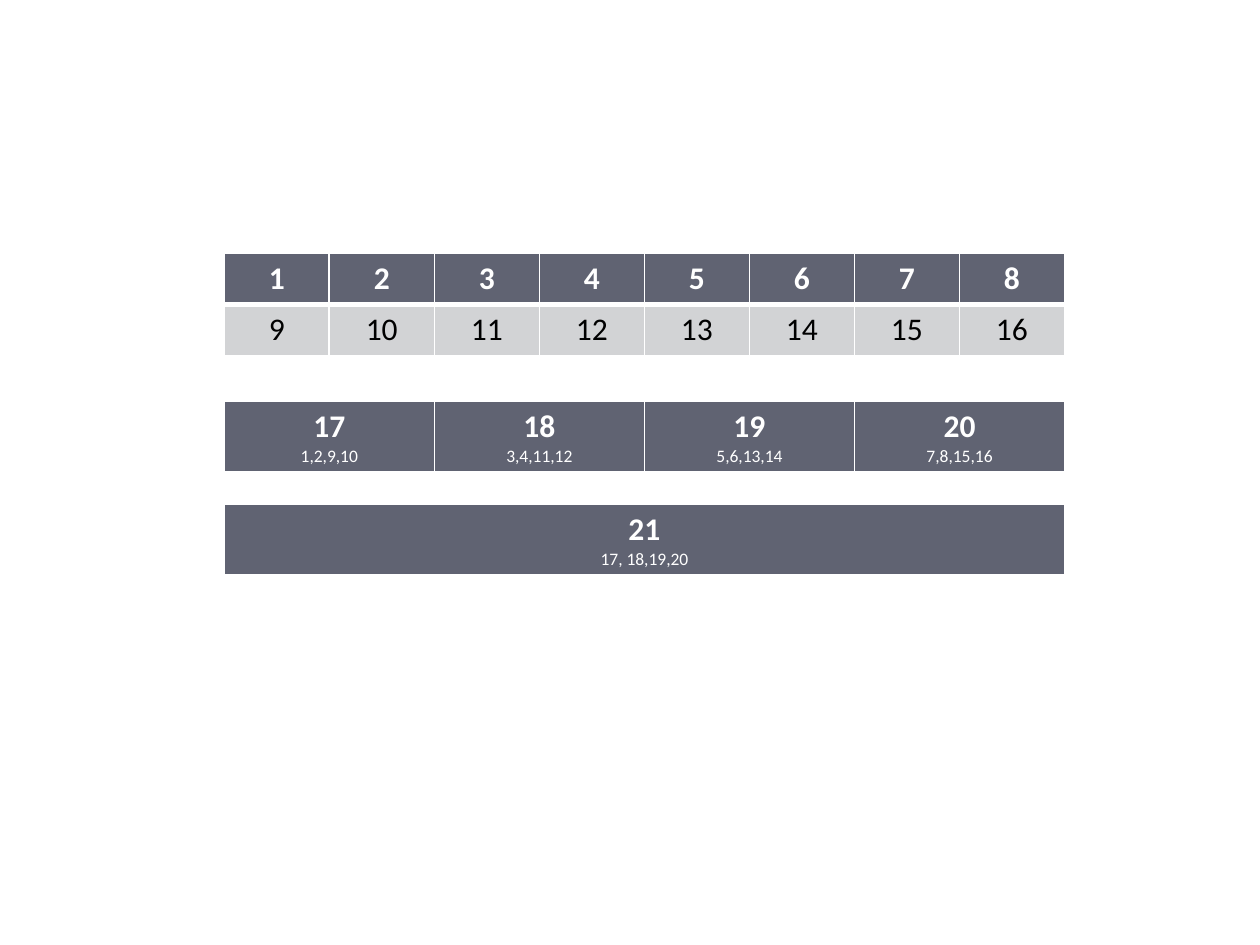
import lxml.etree
import pptx
import pptx.dml.color
import pptx.enum.text
import pptx.oxml.ns
import pptx.util
from pptx.util import Cm

DARK, LIGHT, WHITE, BLACK = "606372", "D2D3D5", "FFFFFF", "000000"
LEFT, WIDTH, ROW_HEIGHT = 4.52, 16.94, 1.03


def color(value):
    return pptx.dml.color.RGBColor.from_string(value)


def add_border(cell, side, points):
    properties = cell._tc.get_or_add_tcPr()
    qn = pptx.oxml.ns.qn
    line = lxml.etree.SubElement(properties, qn(f"a:ln{side}"), w=str(pptx.util.Pt(points)))
    fill = lxml.etree.SubElement(line, qn("a:solidFill"))
    lxml.etree.SubElement(fill, qn("a:srgbClr"), val=WHITE)


def fill_cell(cell, lines, header, top_border):
    # Borders come before the fill in the cell properties
    borders = {"L": 1, "R": 1, "T": top_border, "B": 3 if header else 1}
    for side, points in borders.items():
        add_border(cell, side, points)
    cell.fill.solid()
    cell.fill.fore_color.rgb = color(DARK if header else LIGHT)

    # The number is large, the list of its members small
    cell.text_frame.text = "\n".join(lines)
    for index, paragraph in enumerate(cell.text_frame.paragraphs):
        paragraph.alignment = pptx.enum.text.PP_ALIGN.CENTER
        paragraph.font.name = "Calibri"
        paragraph.font.size = pptx.util.Pt(10 if index else 18)
        paragraph.font.bold = header and index == 0
        paragraph.font.color.rgb = color(WHITE if header else BLACK)


def add_number_table(slide, top, rows):
    """Each cell is a list of lines; the first row is the header."""
    column_count = len(rows[0])
    table = slide.shapes.add_table(
        len(rows), column_count, Cm(LEFT), Cm(top), Cm(WIDTH), Cm(ROW_HEIGHT * len(rows))
    ).table
    for column in table.columns:
        column.width = Cm(WIDTH / column_count)
    for row_index, row in enumerate(rows):
        for column_index, lines in enumerate(row):
            header = row_index == 0
            fill_cell(table.cell(row_index, column_index), lines, header, 1 if header else 3)


def main():
    presentation = pptx.Presentation()
    presentation.slide_width = Cm(25.4)
    presentation.slide_height = Cm(19.05)
    slide = presentation.slides.add_slide(presentation.slide_layouts[6])

    # Base numbers, eight to a row
    add_number_table(slide, 5.11, [
        [[str(number)] for number in range(start, start + 8)] for start in (1, 9)
    ])

    # Groups of four base numbers
    members = ["1,2,9,10", "3,4,11,12", "5,6,13,14", "7,8,15,16"]
    add_number_table(slide, 8.08, [
        [[str(number), text] for number, text in enumerate(members, 17)]
    ])

    # Group of all groups
    add_number_table(slide, 10.16, [[["21", "17, 18,19,20"]]])

    presentation.save("out.pptx")


if __name__ == "__main__":
    main()
